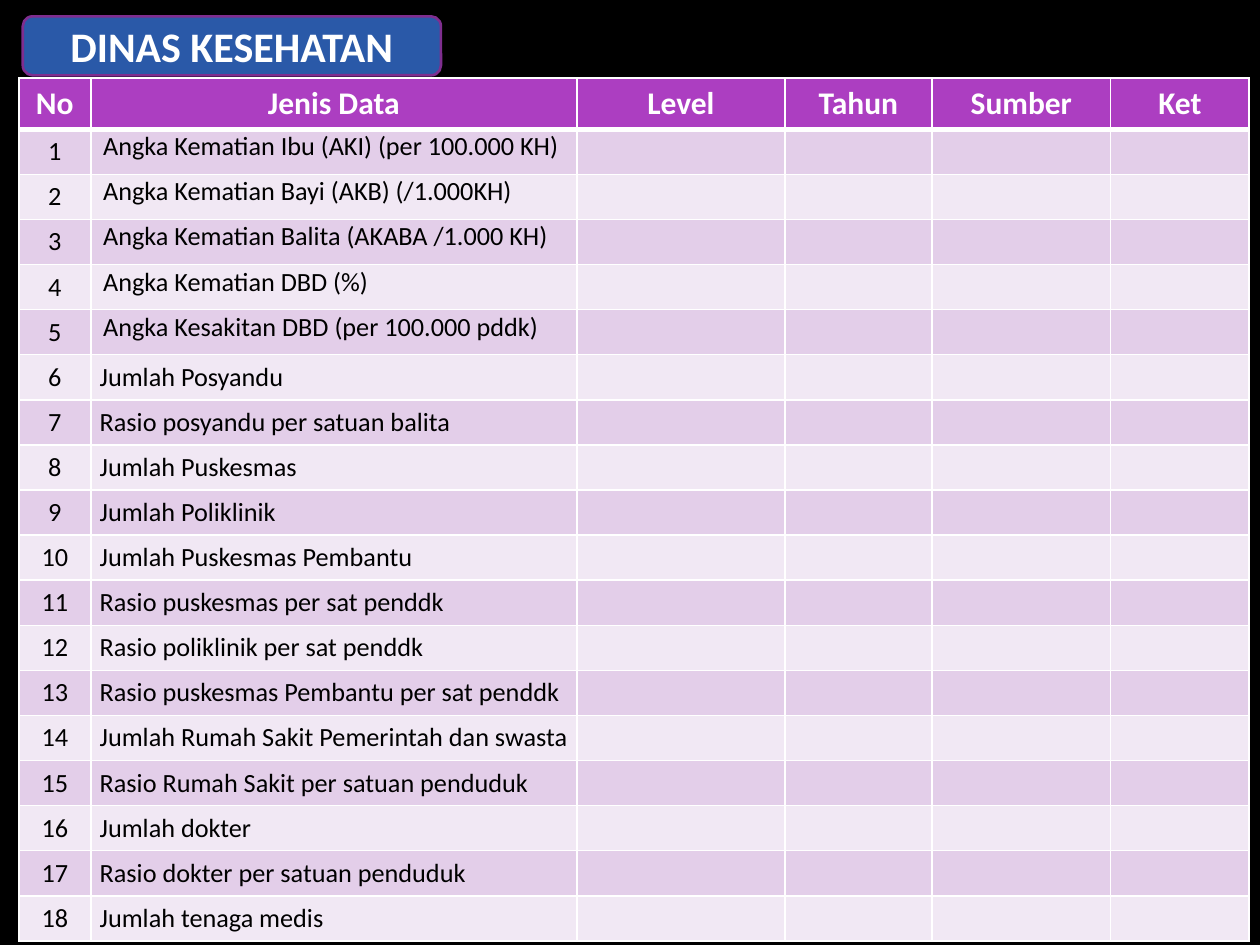
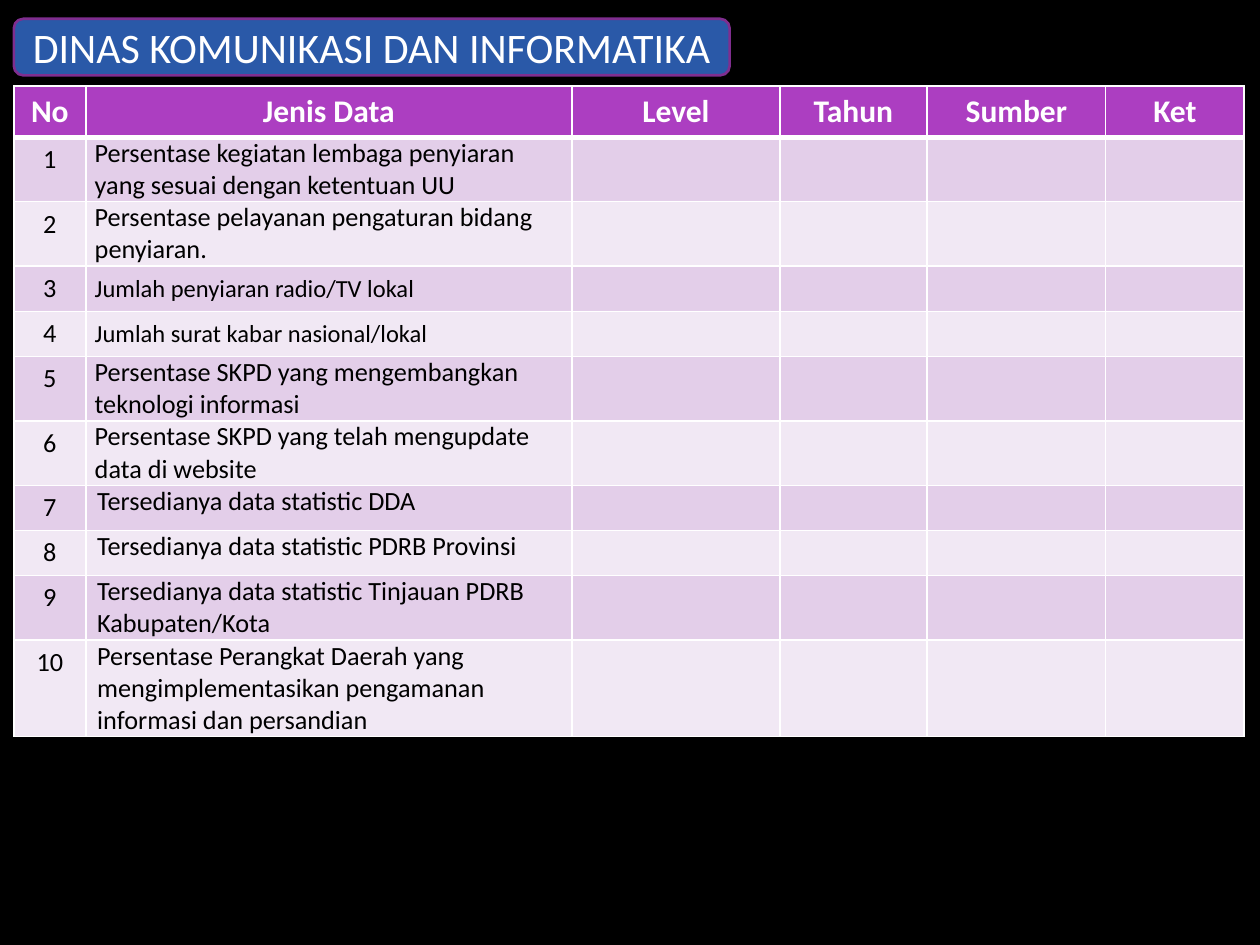
from math import ceil

from lxml import etree
from pptx import Presentation
from pptx.dml.color import RGBColor
from pptx.enum.shapes import MSO_SHAPE
from pptx.enum.text import MSO_ANCHOR, PP_ALIGN
from pptx.oxml.ns import qn
from pptx.util import Cm, Pt

ROUNDED = MSO_SHAPE.ROUNDED_RECTANGLE
TOP, MIDDLE = MSO_ANCHOR.TOP, MSO_ANCHOR.MIDDLE
LEFT, CENTER = PP_ALIGN.LEFT, PP_ALIGN.CENTER

FONT = "Calibri"
BLACK, WHITE = "000000", "FFFFFF"
TITLE_FILL, TITLE_LINE = "2A59A8", "7F2E8F"
HEADER_FILL, BANDS = "AC3EC1", ("E3CEE9", "F1E8F4")

HEADERS = ("No", "Jenis Data", "Level", "Tahun", "Sumber", "Ket")
COL_WIDTHS = (1.45, 9.8, 4.19, 2.97, 3.6, 2.79)
HEADER_HEIGHT, ROW_HEIGHT, LINE_HEIGHT = 1.01, 0.9, 0.65
CHARS_PER_LINE = 41
BODY_SIZE = 15

# Cell layouts: anchor, insets (left, top, right, bottom) in cm, text size
DEFAULT = (TOP, (0.25, 0.13, 0.25, 0.13), BODY_SIZE)
CENTRED = (MIDDLE, (0.18, 0, 0.18, 0), BODY_SIZE)
SMALL = (MIDDLE, (0.18, 0, 0.18, 0), 14)
INDENTED = (TOP, (0.25, 0.03, 0.03, 0), BODY_SIZE)
FLUSH = (TOP, (0.23, 0, 0, 0), BODY_SIZE)

HEALTH = (
    (INDENTED, (
        "Angka Kematian Ibu (AKI) (per 100.000 KH)",
        "Angka Kematian Bayi (AKB) (/1.000KH)",
        "Angka Kematian Balita (AKABA /1.000 KH)",
        "Angka Kematian DBD (%)",
        "Angka Kesakitan DBD (per 100.000 pddk)",
    )),
    (CENTRED, (
        "Jumlah Posyandu",
        "Rasio posyandu per satuan balita",
        "Jumlah Puskesmas",
        "Jumlah Poliklinik",
        "Jumlah Puskesmas Pembantu",
        "Rasio puskesmas per sat penddk",
        "Rasio poliklinik per sat penddk",
        "Rasio puskesmas Pembantu per sat penddk",
        "Jumlah Rumah Sakit Pemerintah dan swasta",
        "Rasio Rumah Sakit per satuan penduduk",
        "Jumlah dokter",
        "Rasio dokter per satuan penduduk",
        "Jumlah tenaga medis",
    )),
)
COMMUNICATION = (
    (CENTRED, (
        "Persentase kegiatan lembaga penyiaran yang sesuai dengan ketentuan UU",
        "Persentase pelayanan pengaturan bidang penyiaran.",
    )),
    (SMALL, (
        "Jumlah penyiaran radio/TV lokal",
        "Jumlah surat kabar nasional/lokal",
    )),
    (CENTRED, (
        "Persentase SKPD yang mengembangkan teknologi informasi",
        "Persentase SKPD yang telah mengupdate data di website",
    )),
    (FLUSH, (
        "Tersedianya data statistic DDA",
        "Tersedianya data statistic PDRB Provinsi",
        "Tersedianya data statistic Tinjauan PDRB Kabupaten/Kota",
        "Persentase Perangkat Daerah yang mengimplementasikan pengamanan "
        "informasi dan persandian",
    )),
)


def rgb(value):
    return RGBColor.from_string(value)


class Deck:
    """Holds the shared style and the slide being built."""

    def __init__(self):
        self.prs = Presentation()
        self.prs.slide_width, self.prs.slide_height = Cm(25.4), Cm(19.05)
        self.s = None

    def slide(self):
        self.s = self.prs.slides.add_slide(self.prs.slide_layouts[6])
        self.paint(self.s.background.fill, BLACK)

    def paint(self, fill, color):
        fill.solid()
        fill.fore_color.rgb = rgb(color)

    def text(self, p, text, size, color, bold=False, align=LEFT):
        p.alignment = align
        if not text:
            etree.SubElement(p._p, qn("a:endParaRPr"), sz=str(size * 100))
            return
        r = p.add_run()
        r.text = text
        r.font.name, r.font.size, r.font.bold = FONT, Pt(size), bold
        r.font.color.rgb = rgb(color)

    def title(self, text, x, y, w, h, bold=False):
        sp = self.s.shapes.add_shape(ROUNDED, Cm(x), Cm(y), Cm(w), Cm(h))
        sp.shadow.inherit = False
        self.paint(sp.fill, TITLE_FILL)
        sp.line.color.rgb = rgb(TITLE_LINE)
        sp.line.width = Pt(1.5)
        tf = sp.text_frame
        tf.word_wrap = False
        tf.vertical_anchor = MIDDLE
        self.text(tf.paragraphs[0], text, 24, WHITE, bold, CENTER)

    def borders(self, cell, top, bottom):
        tcPr = cell._tc.get_or_add_tcPr()
        for side, width in (("L", 1), ("R", 1), ("T", top), ("B", bottom)):
            ln = etree.SubElement(tcPr, qn("a:ln" + side), w=str(Pt(width)))
            fill = etree.SubElement(ln, qn("a:solidFill"))
            etree.SubElement(fill, qn("a:srgbClr"), val=WHITE)

    def cell(self, cell, fill, layout, top=1, bottom=1):
        self.borders(cell, top, bottom)
        self.paint(cell.fill, fill)
        cell.vertical_anchor, insets, _ = layout
        (cell.margin_left, cell.margin_top,
         cell.margin_right, cell.margin_bottom) = map(Cm, insets)
        return cell.text_frame.paragraphs[0]

    def table(self, groups, x, y):
        items = [(layout, text) for layout, texts in groups for text in texts]
        heights = [HEADER_HEIGHT] + [
            max(ROW_HEIGHT, LINE_HEIGHT * ceil(len(text) / CHARS_PER_LINE))
            for _, text in items]
        table = self.s.shapes.add_table(
            len(heights), len(HEADERS), Cm(x), Cm(y),
            Cm(sum(COL_WIDTHS)), Cm(sum(heights))).table
        table.horz_banding = False
        for column, width in zip(table.columns, COL_WIDTHS):
            column.width = Cm(width)
        for row, height in zip(table.rows, heights):
            row.height = Cm(height)
        for c, header in enumerate(HEADERS):
            p = self.cell(table.cell(0, c), HEADER_FILL, DEFAULT, bottom=3)
            self.text(p, header, 18, WHITE, True, CENTER)
        for n, (layout, text) in enumerate(items, 1):
            for c in range(len(HEADERS)):
                style = layout if c == 1 else DEFAULT
                p = self.cell(table.cell(n, c), BANDS[(n - 1) % 2], style,
                              top=3 if n == 1 else 1)
                value = {0: str(n), 1: text}.get(c, "")
                self.text(p, value, style[2], BLACK,
                          align=CENTER if c == 0 else LEFT)


def main():
    deck = Deck()

    deck.slide()
    deck.title("DINAS KESEHATAN", 0.46, 0.33, 8.43, 1.19, bold=True)
    deck.table(HEALTH, 0.38, 1.57)

    deck.slide()
    deck.title("DINAS KOMUNIKASI DAN INFORMATIKA", 0.28, 0.38, 14.43, 1.14)
    deck.table(COMMUNICATION, 0.28, 1.73)

    deck.prs.save("out.pptx")


if __name__ == "__main__":
    main()
